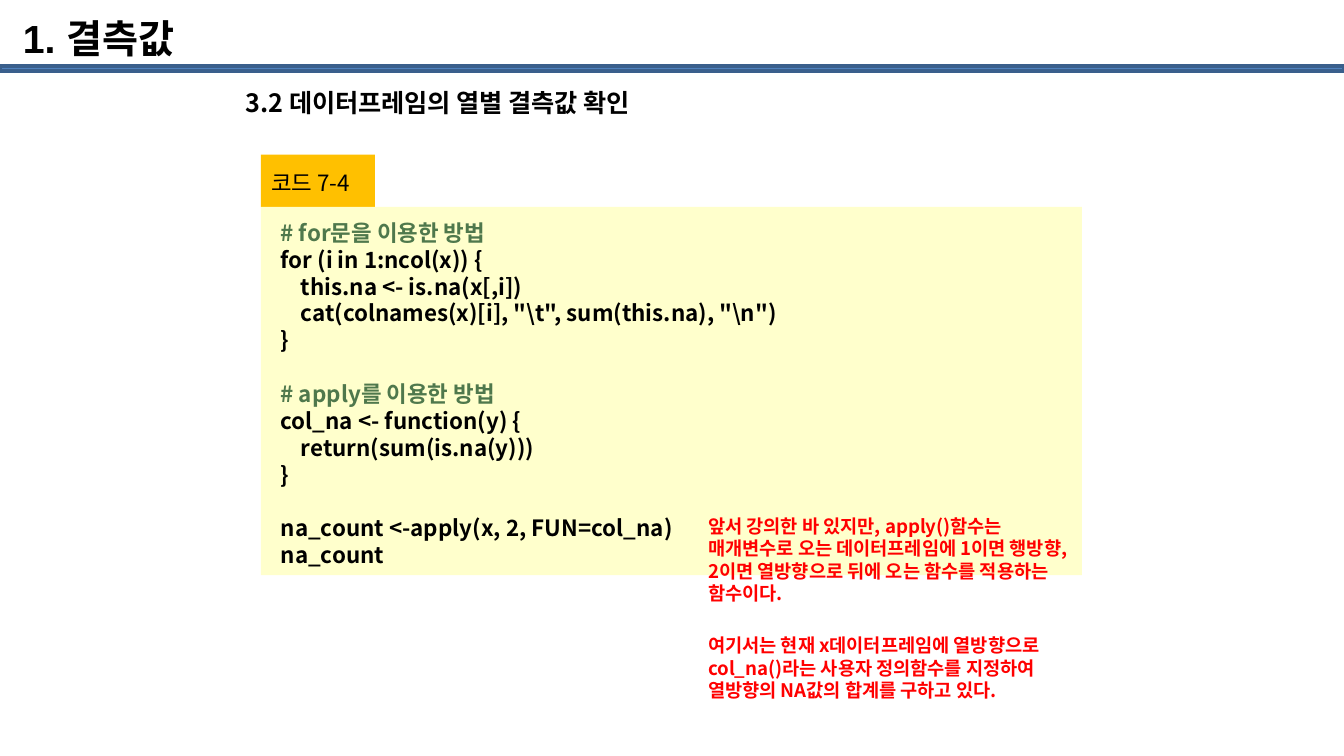
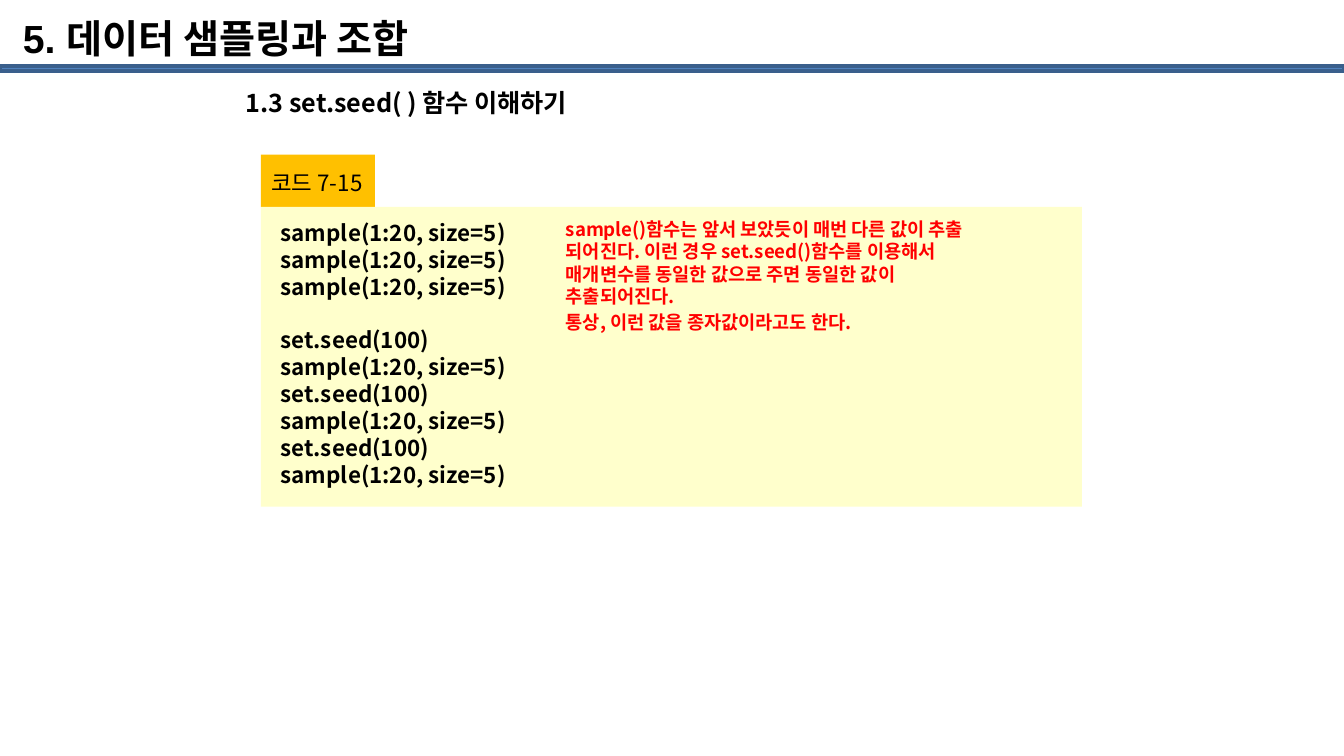
import pptx
import pptx.util
import pptx.dml.color
import pptx.enum.shapes
import pptx.enum.text
import pptx.oxml.ns
import lxml.etree

RGB = pptx.dml.color.RGBColor
BLACK = RGB(0x00, 0x00, 0x00)
BLUE = RGB(0x4F, 0x81, 0xBD)
NAVY = RGB(0x3A, 0x5F, 0x8C)
GOLD = RGB(0xFF, 0xC0, 0x00)
CREAM = RGB(0xFF, 0xFF, 0xCC)
GREEN = RGB(0x4F, 0x78, 0x4C)
RED = RGB(0xFF, 0x00, 0x00)
SANS = "Noto Sans CJK KR"
PX = 9144  # 100 px to the inch
WIDE = 1000  # slide width in px, at 16:9
LEAD = 1.2  # line pitch over text size
STEP = 15  # px per code indent level

# Content: code is a list of blocks, each line is (indent level, text);
# a note is (text, space before in points)
DRAW = (0, "sample(1:20, size=5)")
SEED = (0, "set.seed(100)")

SLIDES = [
    {
        "title": "1. 결측값",
        "head": "3.2 데이터프레임의 열별 결측값 확인",
        "tag": "코드 7-4", "tag_w": 85,
        "panel_h": 274, "code_h": 273,
        "code": [
            [(0, "# for문을 이용한 방법"),
             (0, "for (i in 1:ncol(x)) {"),
             (1, "this.na <- is.na(x[,i])"),
             (1, 'cat(colnames(x)[i], "\\t", sum(this.na), "\\n")'),
             (0, "}")],
            [(0, "# apply를 이용한 방법"),
             (0, "col_na <- function(y) {"),
             (1, "return(sum(is.na(y)))"),
             (0, "}")],
            [(0, "na_count <-apply(x, 2, FUN=col_na)"),
             (0, "na_count")],
        ],
        "note_box": (520, 379, 283, 56),
        "notes": [
            ("앞서 강의한 바 있지만, apply()함수는 매개변수로 오는 데이터프레임에 "
             "1이면 행방향, 2이면 열방향으로 뒤에 오는 함수를 적용하는 함수이다.", 0),
            ("여기서는 현재 x데이터프레임에 열방향으로 col_na()라는 사용자 "
             "정의함수를 지정하여 열방향의 NA값의 합계를 구하고 있다.", 16),
        ],
    },
    {
        "title": "5. 데이터 샘플링과 조합",
        "head": "1.3 set.seed( ) 함수 이해하기",
        "tag": "코드 7-15", "tag_w": 95,
        "panel_h": 223, "code_h": 212,
        "code": [[DRAW] * 3, [SEED, DRAW] * 3],
        "note_box": (414, 158, 319, 42),
        "notes": [
            ("sample()함수는 앞서 보았듯이 매번 다른 값이 추출 되어진다. "
             "이런 경우 set.seed()함수를 이용해서 매개변수를 동일한 값으로 "
             "주면 동일한 값이 추출되어진다.", 0),
            ("통상, 이런 값을 종자값이라고도 한다.", 2),
        ],
    },
]


def emu(box):
    return [round(n * PX) for n in box]


def rect(slide, box, fill, line=None, width=2):
    kind = pptx.enum.shapes.MSO_SHAPE.RECTANGLE
    shape = slide.shapes.add_shape(kind, *emu(box))
    shape.shadow.inherit = False
    shape.fill.solid()
    shape.fill.fore_color.rgb = fill
    if line is None:
        shape.line.fill.background()
    else:
        shape.line.color.rgb = line
        shape.line.width = pptx.util.Pt(width)


def write(slide, box, text, size=12, font=SANS, color=BLACK, bold=True,
          pad=(10, 5), left=None, wrap=True):
    """Text is a string, or a list of dicts: text, gap, level, color."""
    frame = slide.shapes.add_textbox(*emu(box)).text_frame
    frame.word_wrap = wrap
    frame.vertical_anchor = pptx.enum.text.MSO_ANCHOR.TOP
    frame.margin_left = (pad[0] if left is None else left) * PX
    frame.margin_right = pad[0] * PX
    frame.margin_top = frame.margin_bottom = pad[1] * PX
    items = [{"text": text}] if isinstance(text, str) else text
    for i, item in enumerate(items):
        para = frame.add_paragraph() if i else frame.paragraphs[0]
        para.line_spacing = pptx.util.Pt(size * LEAD)
        para.space_before = pptx.util.Pt(item.get("gap", 0))
        if item.get("level"):
            para._p.get_or_add_pPr().set("marL", str(item["level"] * STEP * PX))
        run = para.add_run()
        run.text = item["text"]
        run.font.size = pptx.util.Pt(size)
        run.font.bold = bold
        run.font.name = font
        run.font.color.rgb = item.get("color", color)
        props = run._r.get_or_add_rPr()
        props.set("kern", "0")
        asian = lxml.etree.SubElement(props, pptx.oxml.ns.qn("a:ea"))
        asian.set("typeface", SANS)


def listing(blocks, size=12):
    """Flatten code blocks, leaving one line's height between them."""
    lines = []
    for b, block in enumerate(blocks):
        for n, (level, text) in enumerate(block):
            lines.append({
                "text": text, "level": level,
                "gap": size * LEAD if b and not n else 0,
                "color": GREEN if text.startswith("#") else BLACK,
            })
    return lines


def build(deck, data):
    slide = deck.slides.add_slide(deck.slide_layouts[6])
    # Band and headings
    rect(slide, (0, 49, WIDE, 4), BLUE, line=NAVY)
    write(slide, (160, 60, 701, 465), data["head"], size=13.5, left=23)
    # Code tag and panel
    rect(slide, (194, 115, 85, 39), GOLD)
    rect(slide, (194, 154, 611, data["panel_h"]), CREAM)
    write(slide, (192, 121, data["tag_w"], 30), data["tag"],
          bold=False, wrap=False)
    write(slide, (199, 158, 582, data["code_h"]), listing(data["code"]))
    write(slide, (10, 7, 862, 56), data["title"], size=21, font="Arial",
          pad=(7, 4))
    # Red remark
    notes = [{"text": text, "gap": gap} for text, gap in data["notes"]]
    write(slide, data["note_box"], notes, size=10, color=RED, pad=(7, 4))


def main():
    deck = pptx.Presentation()
    deck.slide_width = WIDE * PX
    deck.slide_height = WIDE * PX * 9 // 16
    for data in SLIDES:
        build(deck, data)
    deck.save("out.pptx")


if __name__ == "__main__":
    main()
